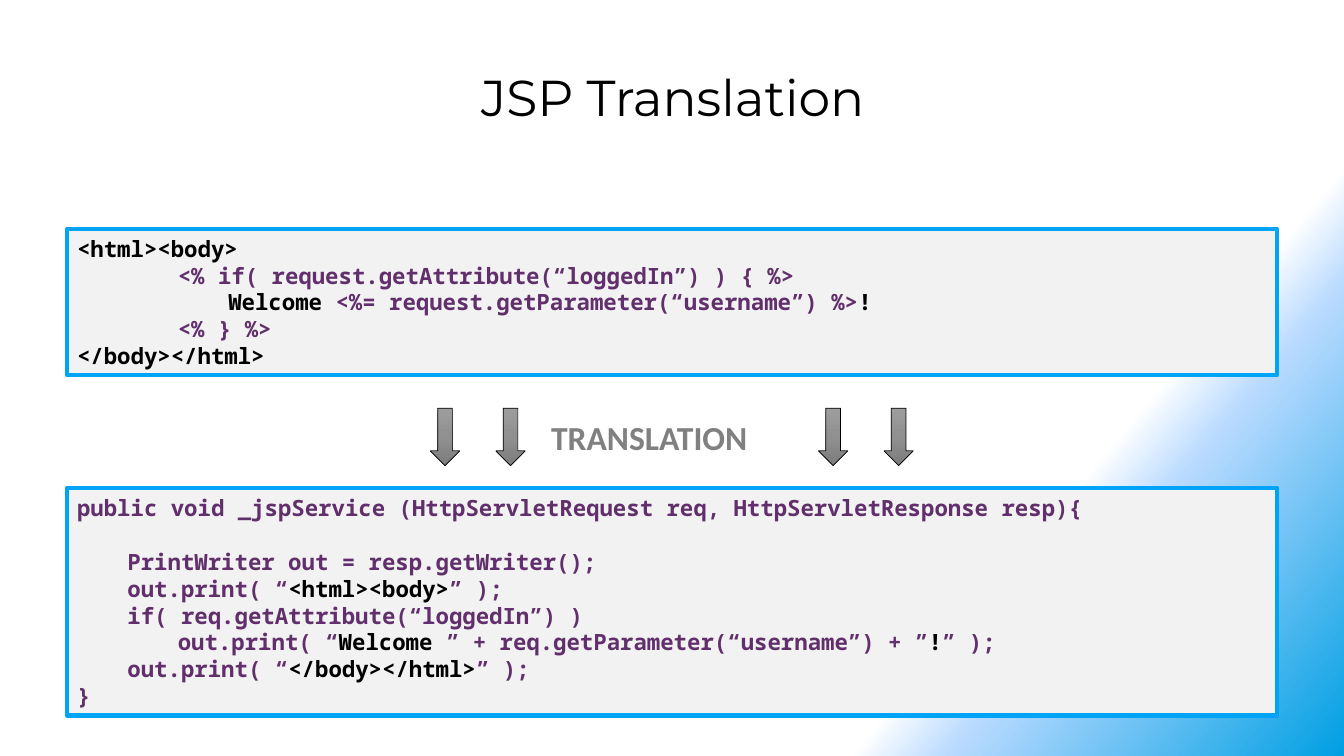
from lxml import etree
from pptx import Presentation
from pptx.dml.color import RGBColor
from pptx.enum.shapes import MSO_SHAPE as Shape
from pptx.enum.text import MSO_ANCHOR as Anchor, PP_ALIGN as Align
from pptx.oxml.ns import qn
from pptx.util import Pt

BLACK, WHITE, PURPLE = "000000", "FFFFFF", "622F6D"
GREY, PALE, BLUE = "808080", "F2F2F2", "00A4F6"
CODE_FONT, TITLE_FONT, LABEL_FONT = "Noto Sans Mono", "Montserrat", "Calibri"
BACKGROUND_STOPS = [(75, WHITE, 100), (80, "B9DAFF", 50), (100, "009FE3", 100)]
ARROW_STOPS = [(0, "9D9D9D", 100), (50, "909090", 100), (100, "7C7C7C", 100)]

JSP_LINES = [
    (0, [("<html><body>", BLACK)]),
    (2, [("<% if( request.getAttribute(“loggedIn”) ) { %>", PURPLE)]),
    (3, [("Welcome ", BLACK),
         ("<%= request.getParameter(“username”) %>", PURPLE), ("!", BLACK)]),
    (2, [("<% } %>", PURPLE)]),
    (0, [("</body></html>", BLACK)]),
]
SERVLET_LINES = [
    (0, [("public void _jspService (HttpServletRequest req, "
          "HttpServletResponse resp){", PURPLE)]),
    (1, [("PrintWriter out = resp.getWriter();", PURPLE)]),
    (1, [("out.print( “", PURPLE), ("<html><body>", BLACK), ("” );", PURPLE)]),
    (1, [("if( req.getAttribute(“loggedIn”) )", PURPLE)]),
    (2, [("out.print( “", PURPLE), ("Welcome ", BLACK),
         ("” + req.getParameter(“username”) + ”", PURPLE),
         ("!", BLACK), ("” );", PURPLE)]),
    (1, [("out.print( “", PURPLE), ("</body></html>", BLACK), ("” );", PURPLE)]),
    (0, [("}", PURPLE)]),
]


def color(value):
    return RGBColor.from_string(value)


def add_text(paragraph, text, *, font, size, fill=BLACK, bold=False, align=Align.LEFT):
    paragraph.alignment = align
    run = paragraph.add_run()
    run.text = text
    run.font.name = font
    run.font.size = Pt(size)
    run.font.bold = bold
    run.font.color.rgb = color(fill)


def apply_gradient(fill, element, stops, angle):
    fill.gradient()
    fill.gradient_angle = 360 - angle
    stop_list = element.find(".//" + qn("a:gsLst"))
    for old_stop in list(stop_list):
        stop_list.remove(old_stop)
    for position, value, opacity in stops:
        stop = etree.SubElement(stop_list, qn("a:gs"), pos=str(position * 1000))
        stop_color = etree.SubElement(stop, qn("a:srgbClr"), val=value)
        if opacity < 100:
            etree.SubElement(stop_color, qn("a:alpha"), val=str(opacity * 1000))


class SlideBuilder:
    code_size = 16
    indent = 36

    def __init__(self, presentation):
        self.slide = presentation.slides.add_slide(presentation.slide_layouts[5])

    def background(self, stops, angle):
        apply_gradient(self.slide.background.fill, self.slide.element, stops, angle)

    def title(self, text, left, top, width, height):
        shape = self.slide.shapes.title
        shape.left, shape.top = Pt(left), Pt(top)
        shape.width, shape.height = Pt(width), Pt(height)
        frame = shape.text_frame
        frame.vertical_anchor = Anchor.TOP
        paragraph = frame.paragraphs[0]
        paragraph.line_spacing = 0.9
        add_text(paragraph, text, font=TITLE_FONT, size=36, align=Align.CENTER)

    def box(self, kind, left, top, width, height, *, fill=None, line=None, weight=0):
        shape = self.slide.shapes.add_shape(
            kind, Pt(left), Pt(top), Pt(width), Pt(height))
        shape.shadow.inherit = False
        if fill:
            shape.fill.solid()
            shape.fill.fore_color.rgb = color(fill)
        if line:
            shape.line.color.rgb = color(line)
            shape.line.width = Pt(weight)
        else:
            shape.line.fill.background()
        shape.text_frame.word_wrap = True
        shape.text_frame.vertical_anchor = Anchor.MIDDLE
        return shape

    def code(self, lines, top, height, gap_before=None):
        shape = self.box(Shape.RECTANGLE, 48, top, 864, height,
                         fill=PALE, line=BLUE, weight=3)
        frame = shape.text_frame
        for index, (level, pieces) in enumerate(lines):
            paragraph = frame.add_paragraph() if index else frame.paragraphs[0]
            for text, fill in pieces:
                add_text(paragraph, text, font=CODE_FONT, size=self.code_size,
                         fill=fill, bold=True)
            properties = paragraph._p.get_or_add_pPr()
            properties.set("marL", str(Pt(level * self.indent)))
            properties.set("indent", "0")
            if index == gap_before:
                paragraph.space_before = Pt(19.1)

    def label(self, text, left, top, width, height):
        shape = self.box(Shape.RECTANGLE, left, top, width, height, fill=WHITE)
        add_text(shape.text_frame.paragraphs[0], text, font=LABEL_FONT, size=24,
                 fill=GREY, bold=True)

    def arrow(self, left, top):
        shape = self.box(Shape.DOWN_ARROW, left, top, 21, 41, line=BLACK, weight=0.5)
        apply_gradient(shape.fill, shape.element, ARROW_STOPS, 90)


def main():
    presentation = Presentation()
    presentation.slide_width, presentation.slide_height = Pt(960), Pt(540)
    builder = SlideBuilder(presentation)
    builder.background(BACKGROUND_STOPS, 40)
    builder.title("JSP Translation", 47.5, 48.2, 866, 87.8)
    builder.code(JSP_LINES, 163.5, 104.4)
    builder.code(SERVLET_LINES, 348.5, 162.7, gap_before=1)
    builder.label("TRANSLATION", 386.6, 294.5, 187.2, 36)
    for pair_left in (307.4, 584.6):
        for step in range(2):
            builder.arrow(pair_left + step * 46.8, 291.6)
    presentation.save("out.pptx")


if __name__ == "__main__":
    main()
